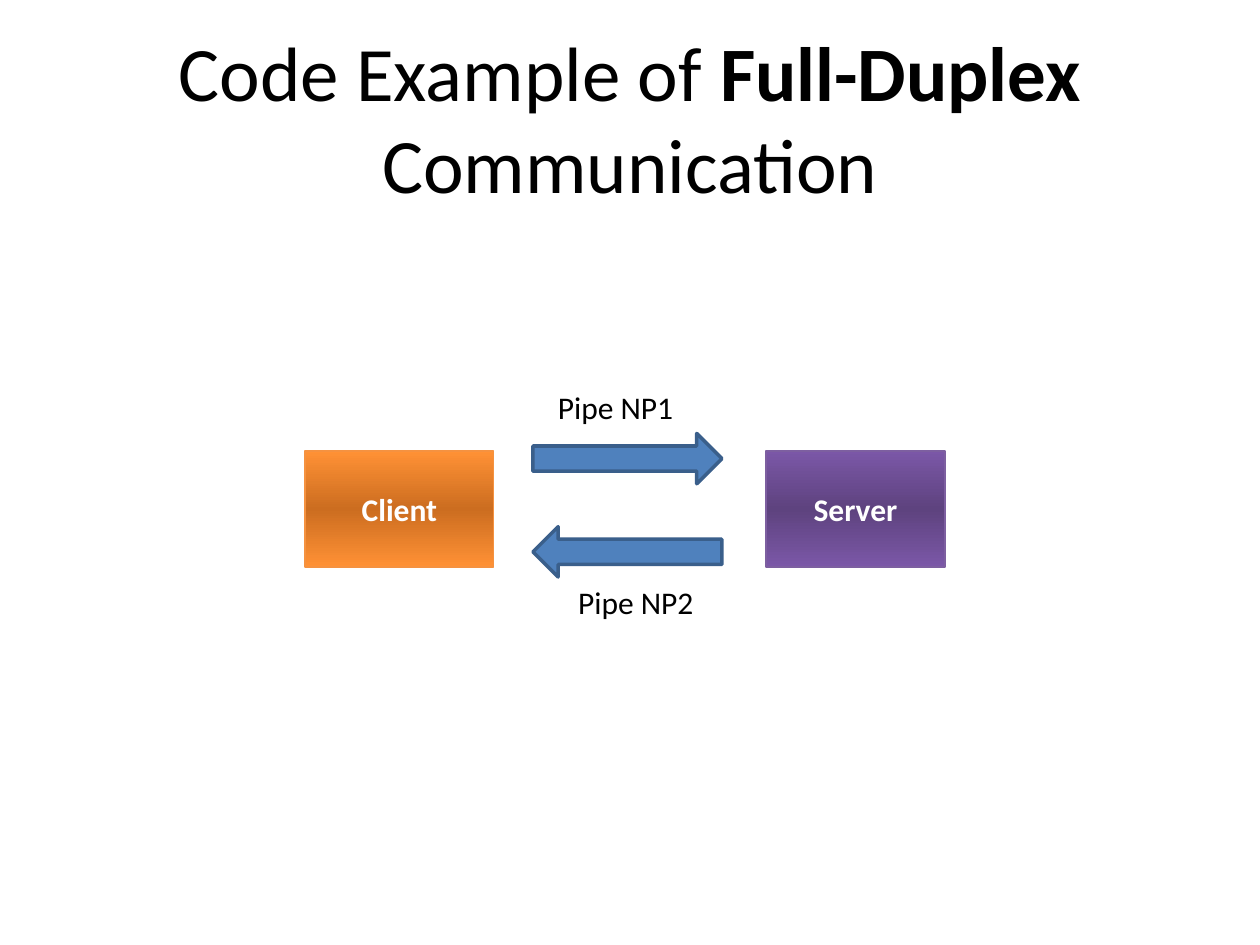
"""Build a slide showing a client and a server joined by two one-way pipes."""
from copy import deepcopy
from pptx import Presentation
from pptx.dml.color import RGBColor
from pptx.enum import shapes, text
from pptx.oxml.ns import qn
from pptx.util import Pt

COLORS = {
    "black": "000000", "white": "FFFFFF",
    "client": "FF9135", "client_mid": "CC6D20", "client_edge": "F59240",
    "server": "7B57A7", "server_mid": "5E437F", "server_edge": "7D5FA0",
    "pipe": "4F81BD", "pipe_edge": "3A5F8B",
}


def color(name):
    return RGBColor.from_string(COLORS[name])


def write(paragraph, words, size, ink, bold=False):
    run = paragraph.add_run()
    run.text = words
    style = {"name": "Calibri", "size": Pt(size), "bold": bold}
    for key, value in style.items():
        setattr(run.font, key, value)
    run.font.color.rgb = color(ink)


deck = Presentation()
deck.slide_width, deck.slide_height = Pt(720), Pt(540)
slide = deck.slides.add_slide(deck.slide_layouts[5])

title = slide.shapes.title
place = {"left": Pt(36), "top": Pt(21.6), "width": Pt(648), "height": Pt(90)}
for key, value in place.items():
    setattr(title, key, value)
title.text_frame.vertical_anchor = text.MSO_ANCHOR.MIDDLE
heading = title.text_frame.paragraphs[0]
heading.alignment = text.PP_ALIGN.CENTER
for words, bold in [("Code Example of ", False), ("Full-Duplex", True), (" Communication", False)]:
    write(heading, words, 44, "black", bold)

for role, left, width in [("client", 174.24, 108), ("server", 437.76, 102.24)]:
    endpoint = slide.shapes.add_shape(
        shapes.MSO_SHAPE.RECTANGLE, Pt(left), Pt(257.76), Pt(width), Pt(66.24))
    endpoint.shadow.inherit = False
    endpoint.fill.gradient()
    endpoint.fill.gradient_angle = 270
    stop_list = endpoint.fill._xPr.find(qn("a:gradFill")).find(qn("a:gsLst"))
    stop_list.append(deepcopy(stop_list[-1]))
    shades = [(0, role), (0.5, f"{role}_mid"), (1, role)]
    for stop, (position, shade) in zip(endpoint.fill.gradient_stops, shades):
        stop.position = position
        stop.color.rgb = color(shade)
    endpoint.line.color.rgb = color(f"{role}_edge")
    endpoint.line.width = Pt(0.75)
    endpoint.text_frame.vertical_anchor = text.MSO_ANCHOR.MIDDLE
    caption = endpoint.text_frame.paragraphs[0]
    caption.alignment = text.PP_ALIGN.CENTER
    write(caption, role.title(), 18, "white", True)

pipes = [
    ("Pipe NP1", shapes.MSO_SHAPE.RIGHT_ARROW, 247.68, 311.76, 218.16),
    ("Pipe NP2", shapes.MSO_SHAPE.LEFT_ARROW, 300.96, 323.28, 329.76),
]
for name, direction, top, label_left, label_top in pipes:
    pipe = slide.shapes.add_shape(direction, Pt(304.56), Pt(top), Pt(108), Pt(28.8))
    pipe.shadow.inherit = False
    pipe.fill.solid()
    pipe.fill.fore_color.rgb = color("pipe")
    pipe.line.color.rgb = color("pipe_edge")
    pipe.line.width = Pt(2)
    label = slide.shapes.add_textbox(Pt(label_left), Pt(label_top), Pt(93.6), Pt(28.8))
    label.text_frame.word_wrap = True
    write(label.text_frame.paragraphs[0], name, 18, "black")

deck.save("out.pptx")
